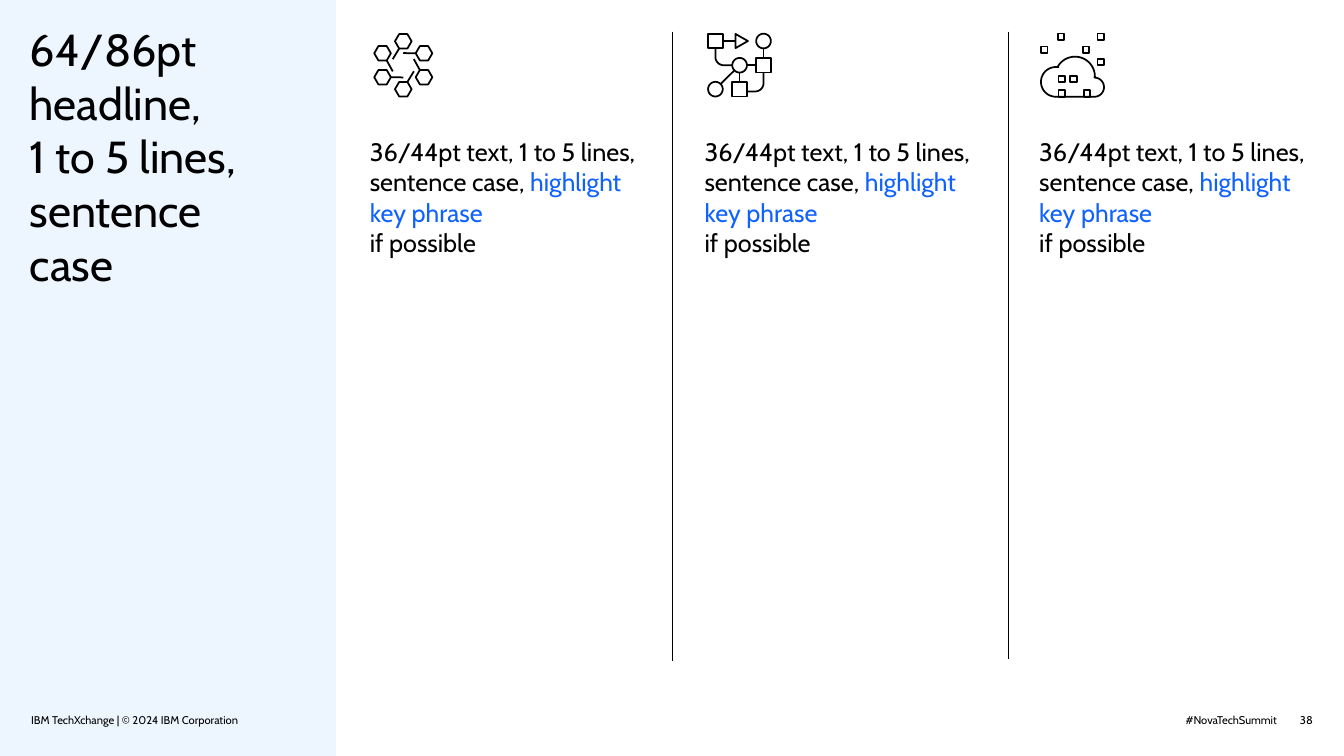
from dataclasses import dataclass
from math import cos, radians, sin

from lxml.etree import SubElement
from pptx import Presentation
from pptx.dml.color import RGBColor
from pptx.enum.shapes import MSO_CONNECTOR as Connector, MSO_SHAPE as Shape
from pptx.enum.text import MSO_ANCHOR as Anchor, PP_ALIGN as Align
from pptx.oxml.ns import qn
from pptx.util import Cm, Pt

COLORS = {"black": "000000", "panel": "EDF5FF", "highlight": "0F62FE"}
FONT = "Cabin"
COLUMN_LEFT, COLUMN_STEP = 18.64, 16.87
ICON_TOP = 1.65
ICON_UNIT = 0.0254  # centimetres per icon unit
PRECISION = 100  # freeform steps per icon unit

Point = tuple[float, float]


@dataclass
class Stroke:
    points: list[Point]
    closed: bool = False


@dataclass
class Icon:
    indent: float
    strokes: list[Stroke]


@dataclass
class TextBox:
    left: float
    top: float
    width: float
    height: float
    size: int
    lines: list[list[tuple[str, str]]]  # (text, colour name) runs of each line
    align: Align = Align.LEFT
    anchor: Anchor = Anchor.TOP
    right_inset: float = 0
    space_after: int = 0


def color(name: str) -> RGBColor:
    return RGBColor.from_string(COLORS[name])


# Icon outlines
def arc(x: float, y: float, radius: float, start: int, end: int, step: int = 5) -> list[Point]:
    direction = step if end > start else -step
    return [(x + radius * cos(radians(angle)), y + radius * sin(radians(angle)))
            for angle in range(start, end + direction, direction)]


def circle(x: float, y: float, radius: float = 14.5) -> Stroke:
    return Stroke(arc(x, y, radius, 0, 355), True)


def square(x: float, y: float, half: float = 14.5) -> Stroke:
    return Stroke([(x - half, y - half), (x + half, y - half),
                   (x + half, y + half), (x - half, y + half)], True)


def turned(x: float, y: float, angle: int, center: float = 64.5) -> Point:
    cosine, sine = cos(radians(angle)), sin(radians(angle))
    return center + x * cosine - y * sine, center + x * sine + y * cosine


def hexagon_ring() -> list[Stroke]:
    strokes = []
    for angle in range(0, 360, 60):
        x, y = turned(0, -47.5, angle)
        strokes.append(Stroke(arc(x, y, 16.5, 0, 300, 60), True))
        strokes.append(Stroke([turned(-8, -33.5, angle), turned(-21, -12, angle)]))
    return strokes


def flow_diagram() -> list[Stroke]:
    near, middle, far = 16.5, 64.5, 112
    return [
        square(near, near), square(far, middle), square(middle, far),
        circle(far, near), circle(middle, middle), circle(near, far),
        Stroke([(56.5, 2.5), (56.5, 30.5), (81, near)], True),
        Stroke([(31, near), (56.5, near)]),
        Stroke([(near, 31), *arc(33, 48, 16.5, 180, 90), (50, middle)]),
        Stroke([(79, middle), (97.5, middle)]),
        Stroke([(far, 31), (far, 50)]),
        Stroke([(middle, 79), (middle, 97.5)]),
        Stroke([(26.8, 101.7), (54.2, 74.8)]),
        Stroke([(far, 79), *arc(95.5, 100, 16.5, 0, 90), (79, 116.5)]),
    ]


def cloud() -> list[Stroke]:
    outline = arc(31, 97.5, 29.5, 90, 280) + arc(69, 87, 39.5, 210, 360) + arc(107.5, 108, 19, -90, 90)
    windows = [(42.5, 91.5), (66, 91.5), (42.5, 120.5), (93, 120.5)]
    sparks = [(120, 58), (91, 33.5), (8, 33.5), (120, 8), (41, 8)]
    return [Stroke(outline, True)] + [square(x, y, 6.3) for x, y in windows + sparks]


def draw_icon(slide, icon: Icon, left: float) -> None:
    first, *others = icon.strokes
    scaled = [[(x * PRECISION, y * PRECISION) for x, y in stroke.points] for stroke in icon.strokes]
    builder = slide.shapes.build_freeform(*scaled[0][0], scale=Cm(ICON_UNIT) / PRECISION)
    builder.add_line_segments(scaled[0][1:], close=first.closed)
    for stroke, points in zip(others, scaled[1:]):
        builder.move_to(*points[0])
        builder.add_line_segments(points[1:], close=stroke.closed)
    shape = builder.convert_to_shape(Cm(left + icon.indent), Cm(ICON_TOP))
    shape.shadow.inherit = False
    shape.fill.background()
    shape.line.color.rgb = color("black")
    shape.line.width = Pt(2.5)


def draw_text(slide, box: TextBox) -> None:
    shape = slide.shapes.add_textbox(Cm(box.left), Cm(box.top), Cm(box.width), Cm(box.height))
    frame = shape.text_frame
    frame.word_wrap = True
    frame.vertical_anchor = box.anchor
    frame.margin_left = frame.margin_top = frame.margin_bottom = 0
    frame.margin_right = Cm(box.right_inset)
    paragraph = frame.paragraphs[0]
    paragraph.alignment = box.align
    paragraph.space_after = Pt(box.space_after)
    paragraph.font.name = FONT
    paragraph.font.size = Pt(box.size)
    for index, line in enumerate(box.lines):
        if index:
            paragraph.add_line_break()
        for text, color_name in line:
            run = paragraph.add_run()
            run.text = text
            run.font.color.rgb = color(color_name)


def draw_divider(slide, x: float, bottom: float) -> None:
    connector = slide.shapes.add_connector(Connector.STRAIGHT, Cm(x), Cm(1.6), Cm(x), Cm(bottom))
    connector.line.color.rgb = color("black")
    connector.line.width = Pt(1)
    SubElement(connector._element.spPr, qn("a:effectLst"))


def main() -> None:
    presentation = Presentation()
    presentation.slide_width, presentation.slide_height = Cm(67.74), Cm(38.1)
    slide = presentation.slides.add_slide(presentation.slide_layouts[6])

    # Column dividers
    draw_divider(slide, 33.87, 33.32)
    draw_divider(slide, 50.8, 33.2)

    # Headline panel
    panel = slide.shapes.add_shape(Shape.RECTANGLE, 0, 0, Cm(16.93), Cm(38.1))
    panel.shadow.inherit = False
    panel.fill.solid()
    panel.fill.fore_color.rgb = color("panel")
    panel.line.fill.background()
    draw_text(slide, TextBox(1.5, 1.09, 13.84, 17.96, 64, [
        [("64/86pt headline,", "black")],
        [("1 to 5 lines, sentence case", "black")],
    ], right_inset=1.27))

    # Icon and text columns
    column_lines = [
        [("36/44pt text, 1 to 5 lines, sentence case, ", "black"), ("highlight key phrase", "highlight")],
        [("if possible", "black")],
    ]
    icons = [Icon(0.05, hexagon_ring()), Icon(0.13, flow_diagram()), Icon(0.05, cloud())]
    for index, icon in enumerate(icons):
        left = COLUMN_LEFT + index * COLUMN_STEP
        draw_icon(slide, icon, left)
        draw_text(slide, TextBox(left, 6.88, 13.77, 16.94, 36, column_lines, space_after=12))

    # Footer
    draw_text(slide, TextBox(1.57, 35.56, 13.77, 1.07, 16,
                             [[("IBM TechXchange | © 2024 IBM Corporation", "black")]], anchor=Anchor.BOTTOM))
    for left, width, text in [(59.23, 5.13, "#NovaTechSummit"), (65.03, 1.14, "38")]:
        draw_text(slide, TextBox(left, 35.94, width, 0.69, 16, [[(text, "black")]],
                                 align=Align.RIGHT, anchor=Anchor.MIDDLE))

    presentation.save("out.pptx")


if __name__ == "__main__":
    main()
